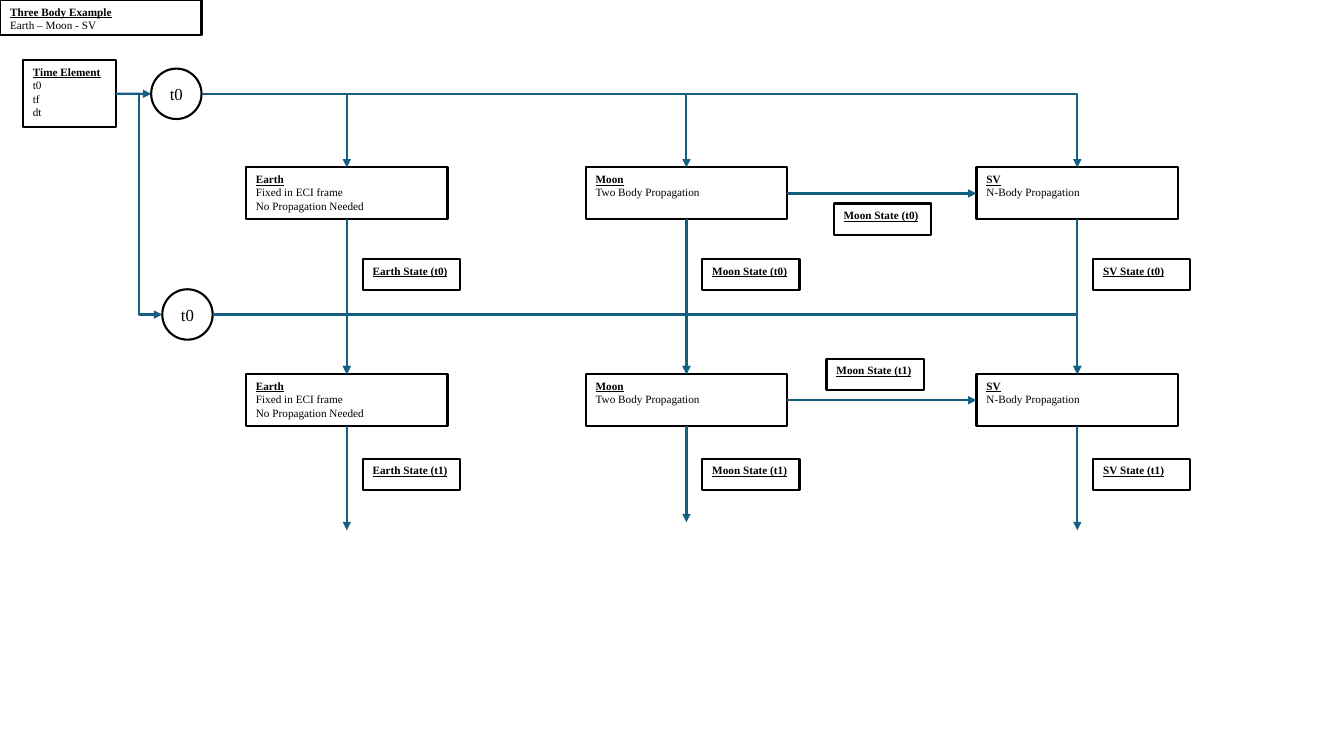
import pptx
import pptx.dml.color
import pptx.enum.shapes
import pptx.enum.text
import pptx.oxml.ns
import pptx.util
import lxml.etree

Cm = pptx.util.Cm
SHAPES = pptx.enum.shapes.MSO_SHAPE
ALIGN = pptx.enum.text.PP_ALIGN
ANCHOR = pptx.enum.text.MSO_ANCHOR

COLOURS = {"ink": "000000", "arrow": "156082"}
FONT = "Times New Roman"
LINE_WIDTH = pptx.util.Pt(1.5)

# side: (connection site of a rectangle, share of width, share of height)
SIDES = {
    "top": (0, 0.5, 0),
    "left": (1, 0, 0.5),
    "bottom": (2, 0.5, 1),
    "right": (3, 1, 0.5),
}

BODY_SIZE = (5.08, 1.31)
TAG_SIZE = (2.45, 0.79)
TAG_OFFSET = 2.94
CLOCK_SIZE = (1.27, 1.27)

# name: (left, description, end of the last arrow)
BODIES = {
    "Earth": (6.2, ["Fixed in ECI frame", "No Propagation Needed"], 13.36),
    "Moon": (14.76, ["Two Body Propagation"], 13.16),
    "SV": (24.61, ["N-Body Propagation"], 13.36),
}

# epoch, top of bodies, top of state tags, clock position, moon tag position
STEPS = [
    ("t0", 4.22, 6.53, (3.81, 1.73), (21.01, 5.13)),
    ("t1", 9.43, 11.56, (4.09, 7.29), (20.83, 9.04)),
]


def rgb(name):
    return pptx.dml.color.RGBColor.from_string(COLOURS[name])


def write(paragraph, text, size=8, bold=False, underline=False, align=ALIGN.LEFT):
    paragraph.alignment = align
    run = paragraph.add_run()
    run.text = text
    run.font.name = FONT
    run.font.size = pptx.util.Pt(size)
    run.font.bold = bold
    run.font.underline = underline
    run.font.color.rgb = rgb("ink")


def site(shape, side):
    """Return the point in the middle of one side of a shape."""
    _, across, down = SIDES[side]
    return (int(shape.left + across * shape.width),
            int(shape.top + down * shape.height))


def glue(link, shape, side):
    """Tie a connector end to a shape; an ellipse has twice as many sites."""
    link.id = shape.shape_id
    step = 2 if shape.auto_shape_type == SHAPES.OVAL else 1
    link.idx = SIDES[side][0] * step


class Diagram:
    def __init__(self, slide):
        self.slide = slide

    def outline(self, shape):
        shape.fill.background()
        shape.line.color.rgb = rgb("ink")
        shape.line.width = LINE_WIDTH

    def fill_text(self, shape, heading, lines):
        """Write an underlined heading with plain lines below it."""
        frame = shape.text_frame
        frame.word_wrap = True
        frame.vertical_anchor = ANCHOR.TOP
        write(frame.paragraphs[0], heading, bold=True, underline=True)
        for line in lines:
            write(frame.add_paragraph(), line)

    def title(self, position, size, heading, lines):
        title = self.slide.shapes.title
        title.left, title.top = map(Cm, position)
        title.width, title.height = map(Cm, size)
        self.outline(title)
        self.fill_text(title, heading, lines)
        title.text_frame.auto_size = pptx.enum.text.MSO_AUTO_SIZE.NONE

    def shape(self, kind, position, size):
        shape = self.slide.shapes.add_shape(kind, *map(Cm, position + size))
        shape.shadow.inherit = False
        self.outline(shape)
        return shape

    def box(self, position, size, heading, lines=()):
        box = self.shape(SHAPES.RECTANGLE, position, size)
        self.fill_text(box, heading, lines)
        return box

    def clock(self, position, text):
        clock = self.shape(SHAPES.OVAL, position, CLOCK_SIZE)
        clock.text_frame.vertical_anchor = ANCHOR.MIDDLE
        write(clock.text_frame.paragraphs[0], text, size=12, align=ALIGN.CENTER)
        return clock

    def arrow(self, source, source_side, target=None, target_side=None,
              geometry="line", end_y=None):
        """Join two shapes, or run straight down to end_y without a target."""
        start = site(source, source_side)
        end = site(target, target_side) if target else (start[0], Cm(end_y))
        kinds = pptx.enum.shapes.MSO_CONNECTOR
        kind = kinds.STRAIGHT if geometry == "line" else kinds.ELBOW
        arrow = self.slide.shapes.add_connector(kind, *start, *end)
        arrow.line.color.rgb = rgb("arrow")
        arrow.line.width = LINE_WIDTH
        qn = pptx.oxml.ns.qn
        properties = arrow.element.spPr
        properties.find(qn("a:prstGeom")).set("prst", geometry)
        line = properties.find(qn("a:ln"))
        lxml.etree.SubElement(line, qn("a:tailEnd"), type="triangle")
        lxml.etree.SubElement(properties, qn("a:effectLst"))
        links = arrow.element.nvCxnSpPr.cNvCxnSpPr
        glue(links.get_or_add_stCxn(), source, source_side)
        if target:
            glue(links.get_or_add_endCxn(), target, target_side)


def main():
    deck = pptx.Presentation()
    deck.slide_width, deck.slide_height = Cm(33.87), Cm(19.05)
    diagram = Diagram(deck.slides.add_slide(deck.slide_layouts[5]))

    diagram.title((0, 0), (5.08, 0.89), "Three Body Example", ["Earth – Moon - SV"])
    time_element = diagram.box((0.58, 1.52), (2.34, 1.68), "Time Element",
                               ["t0", "tf", "dt"])

    previous = {}
    for epoch, body_top, tag_top, clock_position, moon_tag in STEPS:
        clock = diagram.clock(clock_position, "t0")
        diagram.arrow(time_element, "right", clock, "left",
                      geometry="bentConnector3" if previous else "line")
        current = {}
        for name, (left, description, _) in BODIES.items():
            body = diagram.box((left, body_top), BODY_SIZE, name, description)
            diagram.arrow(clock, "right", body, "top", geometry="bentConnector2")
            if previous:
                diagram.arrow(previous[name], "bottom", body, "top")
            diagram.box((left + TAG_OFFSET, tag_top), TAG_SIZE,
                        f"{name} State ({epoch})")
            current[name] = body
        diagram.arrow(current["Moon"], "right", current["SV"], "left")
        diagram.box(moon_tag, TAG_SIZE, f"Moon State ({epoch})")
        previous = current

    for name, (_, _, arrow_end) in BODIES.items():
        diagram.arrow(previous[name], "bottom", end_y=arrow_end)

    deck.save("out.pptx")


if __name__ == "__main__":
    main()
